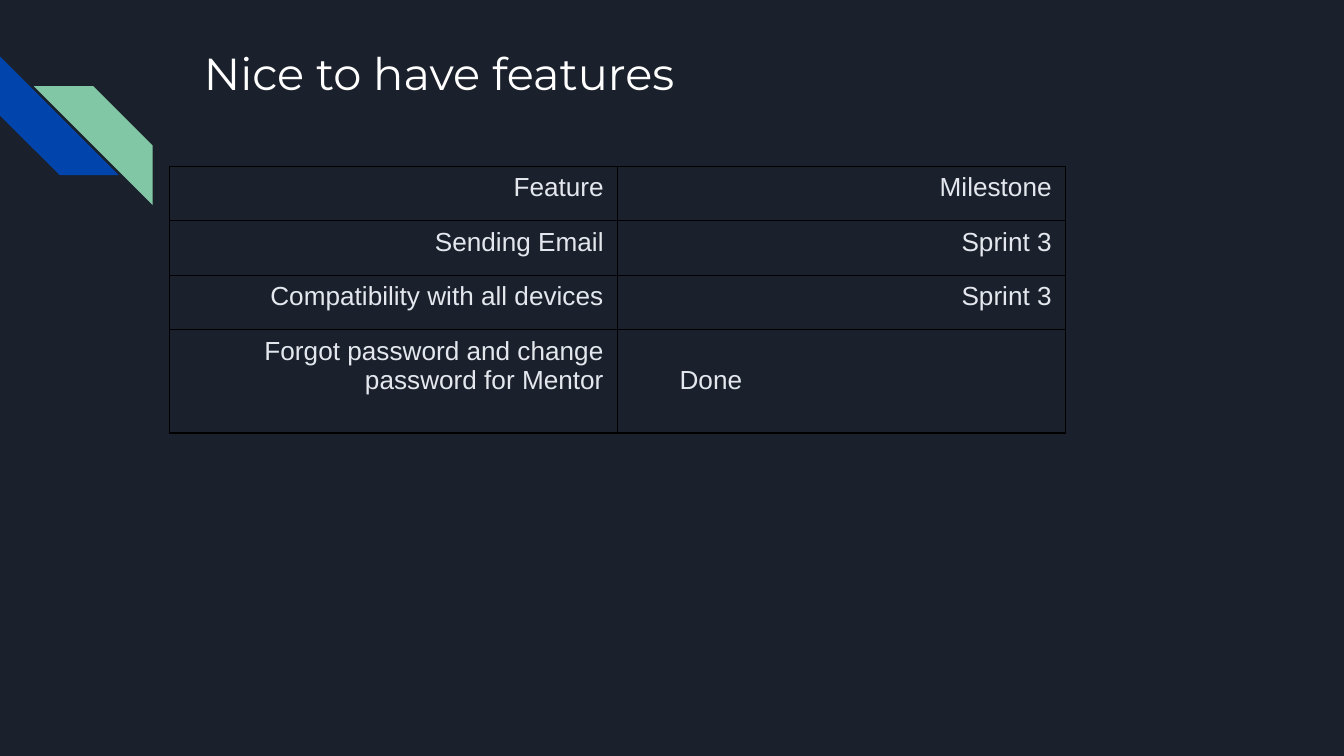
import pptx
import pptx.dml.color
import pptx.enum.text
import pptx.oxml
import pptx.oxml.ns
import pptx.util

Pt = pptx.util.Pt
COLORS = {
    "background": "1B212C",
    "blue": "0145AC",
    "green": "82C7A5",
    "title": "FFFFFF",
    "text": "E4E8EE",
    "border": "000000",
}
FEATURES = [
    ("Feature", "Milestone"),
    ("Sending Email", "Sprint 3"),
    ("Compatibility with all devices", "Sprint 3"),
    ("Forgot password and change password for Mentor", "Done"),
]
ROW_HEIGHTS = [29.2, 29.2, 29.2, 55.4]
COLUMN_WIDTH = 240
LINE_HEIGHT = 15.8


def color(name):
    """Return the named colour."""
    return pptx.dml.color.RGBColor.from_string(COLORS[name])


def style_text(paragraph, font_name, size, color_name):
    """Set the font of a paragraph."""
    paragraph.font.name = font_name
    paragraph.font.size = Pt(size)
    paragraph.font.color.rgb = color(color_name)


def add_ribbon(slide, points, color_name):
    """Add a filled polygon without outline."""
    corners = [(Pt(x), Pt(y)) for x, y in points]
    builder = slide.shapes.build_freeform(*corners[0])
    builder.add_line_segments(corners[1:], close=True)
    shape = builder.convert_to_shape()
    shape.shadow.inherit = False
    shape.fill.solid()
    shape.fill.fore_color.rgb = color(color_name)
    shape.line.fill.background()


def add_title(slide, text):
    """Add the slide heading."""
    box = slide.shapes.add_textbox(Pt(102.2), Pt(17.3), Pt(554.4), Pt(72))
    frame = box.text_frame
    frame.word_wrap = True
    frame.margin_left = frame.margin_right = Pt(7.2)
    frame.margin_top = frame.margin_bottom = Pt(7.2)
    frame.text = text
    style_text(frame.paragraphs[0], "Montserrat", 24, "title")


def add_borders(cell):
    """Draw a thin line on all four sides of a cell."""
    properties = cell._tc.get_or_add_tcPr()
    for index, side in enumerate(("lnL", "lnR", "lnT", "lnB")):
        line = pptx.oxml.parse_xml(
            f'<a:{side} {pptx.oxml.ns.nsdecls("a")} w="{Pt(0.75)}"><a:solidFill>'
            f'<a:srgbClr val="{COLORS["border"]}"/></a:solidFill></a:{side}>'
        )
        properties.insert(index, line)


def fill_cell(cell, text):
    """Write right-aligned text into a transparent, bordered cell."""
    cell.text = text
    cell.fill.background()
    cell.margin_left = cell.margin_right = Pt(7.2)
    cell.margin_top = cell.margin_bottom = Pt(3.6)
    paragraph = cell.text_frame.paragraphs[0]
    paragraph.alignment = pptx.enum.text.PP_ALIGN.RIGHT
    style_text(paragraph, "Arial", 14, "text")
    add_borders(cell)


def add_feature_table(slide):
    """Add the table of features and milestones."""
    frame = slide.shapes.add_table(
        len(FEATURES), 2, Pt(90.7), Pt(89), Pt(2 * COLUMN_WIDTH), Pt(sum(ROW_HEIGHTS))
    )
    table = frame.table
    table.first_row = table.horz_banding = False
    for column in table.columns:
        column.width = Pt(COLUMN_WIDTH)
    for row, height, texts in zip(table.rows, ROW_HEIGHTS, FEATURES):
        row.height = Pt(height)
        for cell, text in zip(row.cells, texts):
            fill_cell(cell, text)

    # The finished milestone sits on the second line, indented from the left
    done = table.cell(len(FEATURES) - 1, 1)
    done.margin_left = Pt(33.4)
    done.margin_top = Pt(3.6 + LINE_HEIGHT)
    done.text_frame.paragraphs[0].alignment = pptx.enum.text.PP_ALIGN.LEFT


def main():
    """Build and save the slide."""
    presentation = pptx.Presentation()
    presentation.slide_width = Pt(720)
    presentation.slide_height = Pt(405)
    slide = presentation.slides.add_slide(presentation.slide_layouts[6])
    slide.background.fill.solid()
    slide.background.fill.fore_color.rgb = color("background")

    add_ribbon(slide, [(0, 30.2), (63.6, 93.8), (32, 93.8), (0, 62)], "blue")
    add_ribbon(slide, [(18.2, 46.2), (50, 46.2), (81.8, 78), (81.8, 109.8)], "green")
    add_title(slide, "Nice to have features")
    add_feature_table(slide)
    presentation.save("out.pptx")


main()
